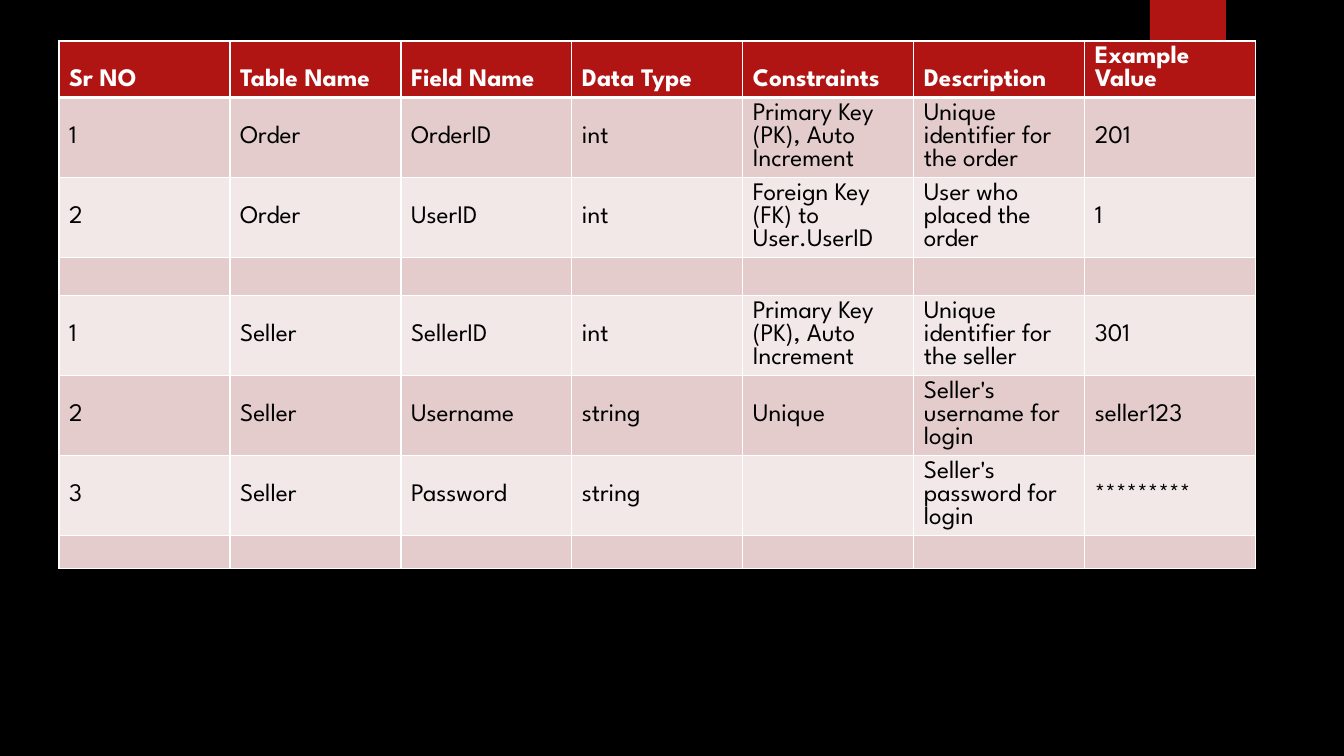
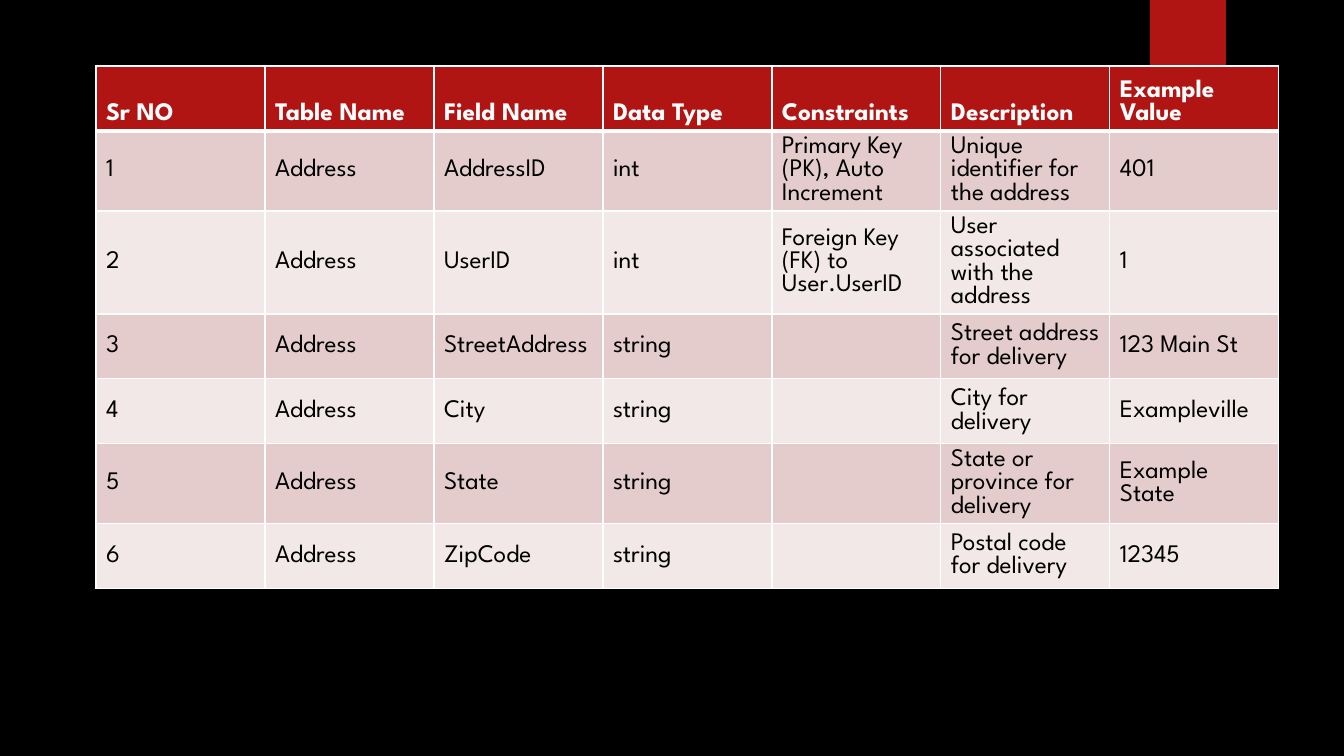
from dataclasses import dataclass

from lxml.etree import SubElement
from pptx import Presentation
from pptx.dml.color import RGBColor as Rgb
from pptx.enum.shapes import MSO_SHAPE as Shape
from pptx.enum.text import MSO_ANCHOR as Anchor
from pptx.oxml.ns import qn
from pptx.text.text import Font
from pptx.util import Emu, Pt

SCALE = 914400 / 100.8
COLORS = {
    "back": "000000",
    "red": "B01513",
    "dark": "E4CCCC",
    "light": "F2E8E7",
    "white": "FFFFFF",
    "black": "000000",
}
FACE = {"name": "League Spartan", "size": Pt(18)}
HEAD = {**FACE, "bold": True}
BODY = {**FACE, "bold": False}
FIELDS = ("Sr NO", "Table Name", "Field Name", "Data Type",
          "Constraints", "Description", "Example Value")
BLANK = ("",) * len(FIELDS)
KEY = "Primary Key (PK), Auto Increment"
LINK = "Foreign Key (FK) to User.UserID"


@dataclass(frozen=True)
class Grid:
    left: int
    top: int
    width: int
    heights: tuple[int, ...]
    rows: tuple[tuple[str, ...], ...]


GRIDS = (
    Grid(59, 41, 171, (56, 80, 80, 38, 80, 80, 80, 33), (
        ("1", "Order", "OrderID", "int", KEY, "Unique identifier for the order", "201"),
        ("2", "Order", "UserID", "int", LINK, "User who placed the order", "1"),
        BLANK,
        ("1", "Seller", "SellerID", "int", KEY, "Unique identifier for the seller", "301"),
        ("2", "Seller", "Username", "string", "Unique", "Seller's username for login", "seller123"),
        ("3", "Seller", "Password", "string", "", "Seller's password for login", "*********"),
        BLANK,
    )),
    Grid(96, 66, 169, (65, 80, 103, 65, 65, 80, 65), (
        ("1", "Address", "AddressID", "int", KEY, "Unique identifier for the address", "401"),
        ("2", "Address", "UserID", "int", LINK, "User associated with the address", "1"),
        ("3", "Address", "StreetAddress", "string", "", "Street address for delivery", "123 Main St"),
        ("4", "Address", "City", "string", "", "City for delivery", "Exampleville"),
        ("5", "Address", "State", "string", "", "State or province for delivery", "Example State"),
        ("6", "Address", "ZipCode", "string", "", "Postal code for delivery", "12345"),
    )),
)


def px(count: int) -> Emu:
    return Emu(round(count * SCALE))


def color(name: str) -> Rgb:
    return Rgb.from_string(COLORS[name])


def paint(fill, name: str) -> None:
    fill.solid()
    fill.fore_color.rgb = color(name)


def style(font: Font, look: dict) -> None:
    for key, value in look.items():
        setattr(font, key, value)


def edge(cell, side: str, width: int) -> None:
    props = cell._tc.get_or_add_tcPr()
    line = SubElement(props, qn(f"a:ln{side}"), w=str(Pt(width)))
    fill = SubElement(line, qn("a:solidFill"))
    SubElement(fill, qn("a:srgbClr"), val=COLORS["white"])


def write(cell, text: str, row: int) -> None:
    head = row == 0
    thick = {0: "B", 1: "T"}.get(row)
    for side in "LRTB":
        edge(cell, side, 3 if side == thick else 1)
    paint(cell.fill, "red" if head else "dark" if row % 2 else "light")
    cell.vertical_anchor = Anchor.BOTTOM if head else Anchor.MIDDLE
    para = cell.text_frame.paragraphs[0]
    if not text:
        style(Font(para._p.get_or_add_endParaRPr()), FACE)
        return
    run = para.add_run()
    run.text = text
    style(run.font, HEAD if head else BODY)
    run.font.color.rgb = color("white" if head else "black")


def draw(slide, grid: Grid) -> None:
    lines = (FIELDS, *grid.rows)
    table = slide.shapes.add_table(
        len(lines), len(FIELDS), px(grid.left), px(grid.top),
        px(grid.width * len(FIELDS)), px(sum(grid.heights))).table
    for col in table.columns:
        col.width = px(grid.width)
    for row, (texts, height) in enumerate(zip(lines, grid.heights)):
        table.rows[row].height = px(height)
        for col, text in enumerate(texts):
            write(table.cell(row, col), text, row)


def band(slide) -> None:
    tab = slide.shapes.add_shape(Shape.RECTANGLE, px(1150), 0, px(76), px(126))
    tab.shadow.inherit = False
    paint(tab.fill, "red")
    tab.line.fill.background()
    slide.slide_layout.shapes._spTree.append(tab._element)


def main() -> None:
    deck = Presentation()
    deck.slide_width, deck.slide_height = px(1344), px(756)
    paint(deck.slide_master.background.fill, "back")
    slides = [deck.slides.add_slide(deck.slide_layouts[6]) for _ in GRIDS]
    band(slides[0])
    for slide, grid in zip(slides, GRIDS):
        draw(slide, grid)
    deck.save("out.pptx")


if __name__ == "__main__":
    main()
